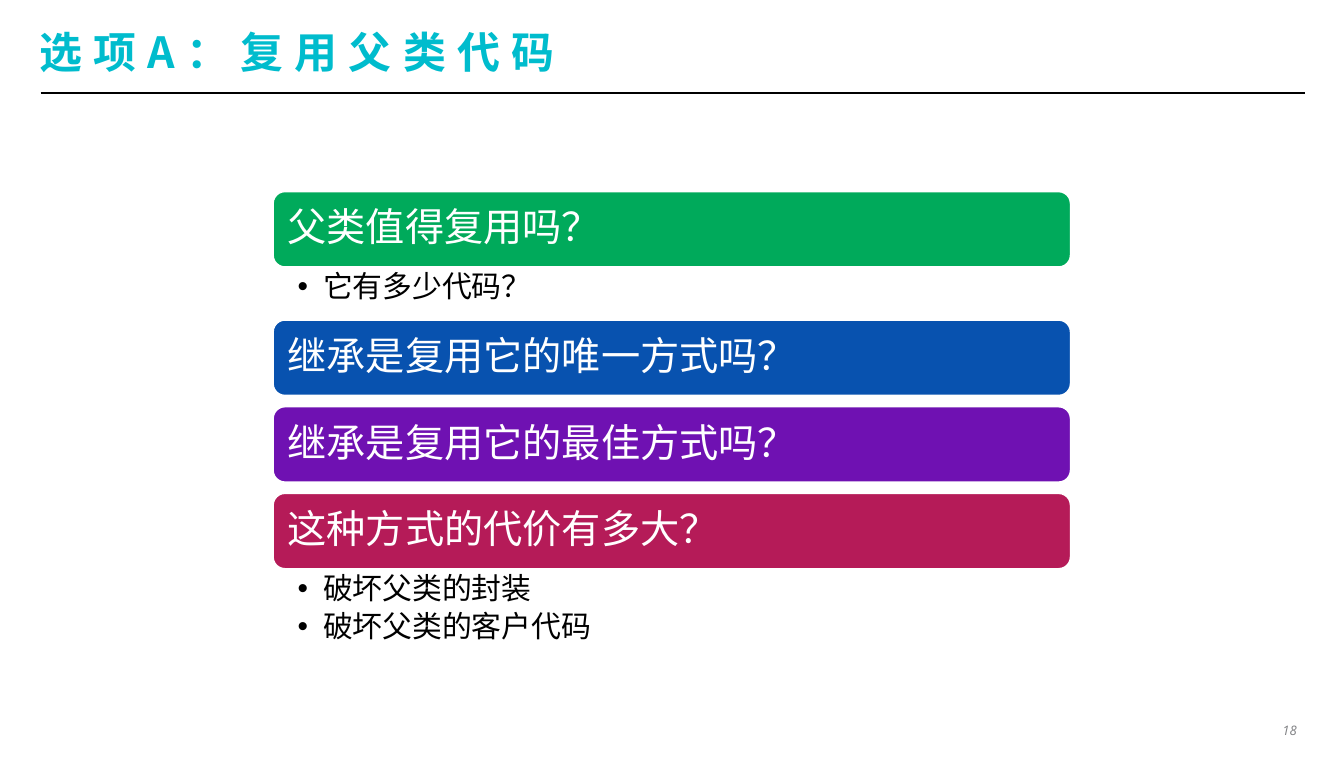
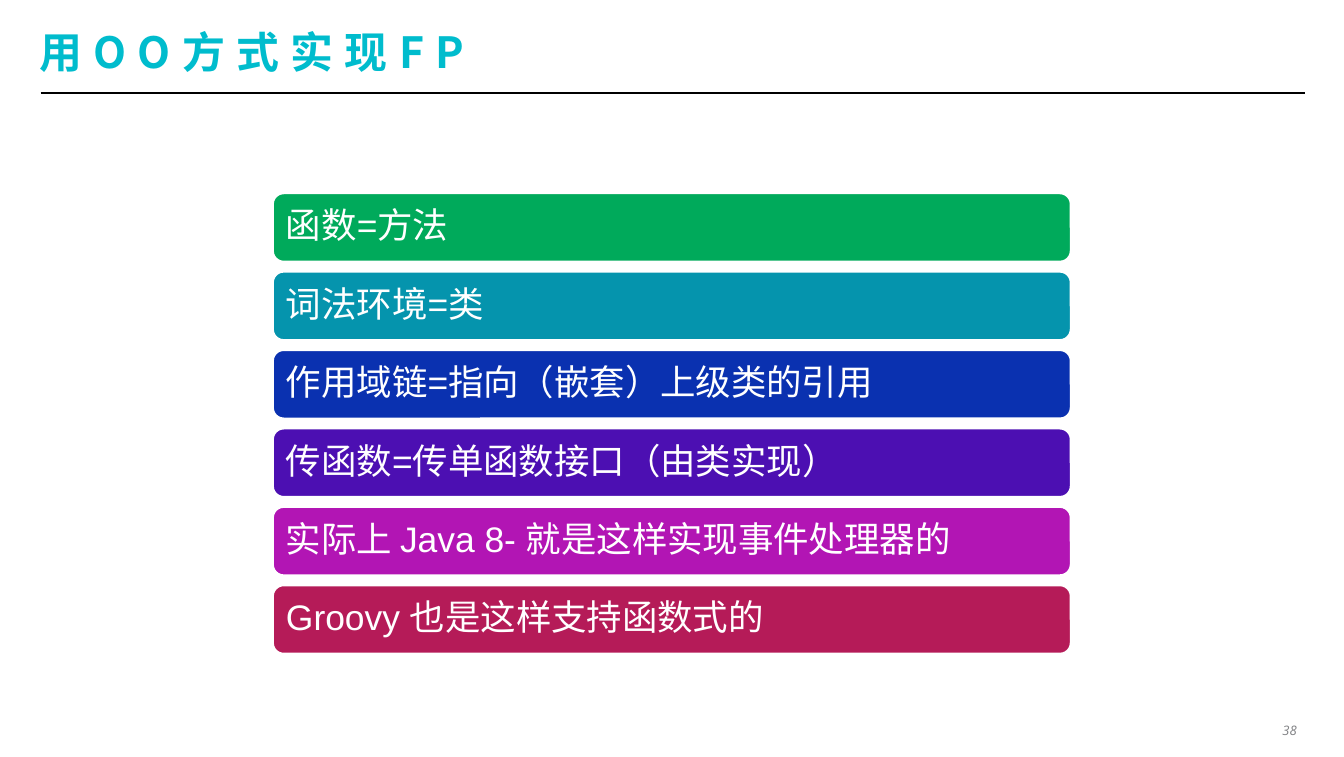
"""Build two slides of stacked question and concept bars under a ruled title."""
from dataclasses import dataclass

from lxml.etree import SubElement
from pptx import Presentation
from pptx.dml.color import RGBColor
from pptx.enum.lang import MSO_LANGUAGE_ID
from pptx.enum.shapes import MSO_CONNECTOR, MSO_SHAPE
from pptx.enum.text import MSO_ANCHOR, MSO_AUTO_SIZE, PP_ALIGN
from pptx.oxml.ns import qn
from pptx.shapes.autoshape import Shape
from pptx.slide import Slide
from pptx.text.text import TextFrame, _Paragraph
from pptx.util import Pt

COLORS = {
    "title": "00BCCD", "rule": "000000", "number": "808184",
    "bar_text": "FFFFFF", "detail": "000000",
    "green": "00AA5B", "teal": "0594AD", "blue": "0852AF", "navy": "0A31B0",
    "purple": "6F11B2", "indigo": "4C0FB2", "magenta": "B215B4", "crimson": "B51B58",
}
TITLE_FONT, BODY_FONT, NUMBER_FONT = "Noto Sans CJK JP", "Arial", "Open Sans"
SLIDE_WIDTH, SLIDE_HEIGHT = 720, 405.37
STACK_LEFT, STACK_WIDTH = 145.7, 428.4
BAR_RATIO, GAP_RATIO, INSET_RATIO = 1.98, 0.23, 0.3
DETAIL_SIZE, DETAIL_INDENT = 16, 13.7
DETAIL_PADDING, DETAIL_LINE = 8.7, 18.5


@dataclass(frozen=True)
class Bar:
    text: str
    color: str
    details: tuple[str, ...] = ()


@dataclass(frozen=True)
class Page:
    title: str
    number: int
    top: float
    text_size: float
    bars: tuple[Bar, ...]


PAGES = (
    Page("选项A：复用父类代码", 18, 102, 21, (
        Bar("父类值得复用吗？", "green", ("它有多少代码？",)),
        Bar("继承是复用它的唯一方式吗？", "blue"),
        Bar("继承是复用它的最佳方式吗？", "purple"),
        Bar("这种方式的代价有多大？", "crimson", ("破坏父类的封装", "破坏父类的客户代码")),
    )),
    Page("用OO方式实现FP", 38, 103, 19, (
        Bar("函数=方法", "green"),
        Bar("词法环境=类", "teal"),
        Bar("作用域链=指向（嵌套）上级类的引用", "navy"),
        Bar("传函数=传单函数接口（由类实现）", "indigo"),
        Bar("实际上 Java 8- 就是这样实现事件处理器的", "magenta"),
        Bar("Groovy 也是这样支持函数式的", "crimson"),
    )),
)


def rgb(name: str) -> RGBColor:
    return RGBColor.from_string(COLORS[name])


def set_margins(frame: TextFrame, left: float, top: float, right: float, bottom: float) -> None:
    frame.margin_left, frame.margin_top = Pt(left), Pt(top)
    frame.margin_right, frame.margin_bottom = Pt(right), Pt(bottom)


def style(para: _Paragraph, font_name: str, size: float, color: str) -> None:
    font = para.font
    font.name, font.size = font_name, Pt(size)
    font.color.rgb = rgb(color)
    for span in para.runs:
        span.font.language_id = MSO_LANGUAGE_ID.SIMPLIFIED_CHINESE


def add_box(slide: Slide, left: float, top: float, width: float, height: float) -> Shape:
    box = slide.shapes.add_textbox(Pt(left), Pt(top), Pt(width), Pt(height))
    box.text_frame.word_wrap = True
    return box


def add_title(slide: Slide, text: str) -> None:
    frame = add_box(slide, 21, 12.6, 677.5, 30).text_frame
    set_margins(frame, 0, 0, 0, 0)
    frame.vertical_anchor = MSO_ANCHOR.MIDDLE
    para = frame.paragraphs[0]
    para.text = text
    style(para, TITLE_FONT, 23, "title")
    para.font.bold = True
    for span in para.runs:
        properties = span.font._element
        properties.set("spc", "600")
        SubElement(properties, qn("a:ea"), typeface=TITLE_FONT)


def add_rule(slide: Slide) -> None:
    rule = slide.shapes.add_connector(MSO_CONNECTOR.STRAIGHT, Pt(21.8), Pt(49.6), Pt(699), Pt(49.6))
    rule.line.color.rgb = rgb("rule")
    rule.line.width = Pt(1)
    SubElement(rule._element.spPr, qn("a:effectLst"))


def add_number(slide: Slide, number: int) -> None:
    frame = add_box(slide, 682, 384.5, 17, 12.2).text_frame
    frame.word_wrap = False
    frame.auto_size = MSO_AUTO_SIZE.SHAPE_TO_FIT_TEXT
    set_margins(frame, 4.3, 2.2, 4.3, 2.2)
    para = frame.paragraphs[0]
    para.text = str(number)
    para.alignment = PP_ALIGN.RIGHT
    style(para, NUMBER_FONT, 7, "number")
    para.font.italic = True


def add_bar(slide: Slide, bar: Bar, top: float, height: float, size: float) -> None:
    shape = slide.shapes.add_shape(
        MSO_SHAPE.ROUNDED_RECTANGLE, Pt(STACK_LEFT), Pt(top), Pt(STACK_WIDTH), Pt(height))
    shape.shadow.inherit = False
    shape.fill.solid()
    shape.fill.fore_color.rgb = rgb(bar.color)
    shape.line.color.rgb = rgb("bar_text")
    shape.line.width = Pt(2)
    frame = shape.text_frame
    frame.word_wrap = True
    frame.vertical_anchor = MSO_ANCHOR.MIDDLE
    inset = size * INSET_RATIO
    set_margins(frame, inset, inset, inset, inset)
    para = frame.paragraphs[0]
    para.text = bar.text
    para.alignment = PP_ALIGN.LEFT
    para.line_spacing = 0.9
    style(para, BODY_FONT, size, "bar_text")


def add_details(slide: Slide, details: tuple[str, ...], top: float, height: float) -> None:
    frame = add_box(slide, STACK_LEFT, top, STACK_WIDTH, height).text_frame
    set_margins(frame, DETAIL_INDENT, 2, 11.4, 2)
    for index, detail in enumerate(details):
        para = frame.add_paragraph() if index else frame.paragraphs[0]
        para.text = detail
        para.level = 1
        para.line_spacing = 0.9
        para.space_after = Pt(DETAIL_SIZE * 0.2)
        properties = para._p.get_or_add_pPr()
        properties.set("marL", str(Pt(DETAIL_INDENT)))
        properties.set("indent", str(-Pt(DETAIL_INDENT)))
        SubElement(properties, qn("a:buFont"), typeface=BODY_FONT)
        SubElement(properties, qn("a:buChar"), char="•")
        style(para, BODY_FONT, DETAIL_SIZE, "detail")


def add_stack(slide: Slide, page: Page) -> None:
    bar_height = page.text_size * BAR_RATIO
    top = page.top
    for bar in page.bars:
        add_bar(slide, bar, top, bar_height, page.text_size)
        top += bar_height
        if bar.details:
            height = DETAIL_PADDING + DETAIL_LINE * len(bar.details)
            add_details(slide, bar.details, top, height)
            top += height
        else:
            top += page.text_size * GAP_RATIO


def main() -> None:
    deck = Presentation()
    deck.slide_width, deck.slide_height = Pt(SLIDE_WIDTH), Pt(SLIDE_HEIGHT)
    for page in PAGES:
        slide = deck.slides.add_slide(deck.slide_layouts[6])
        add_rule(slide)
        add_title(slide, page.title)
        add_number(slide, page.number)
        add_stack(slide, page)
    deck.save("out.pptx")


if __name__ == "__main__":
    main()
